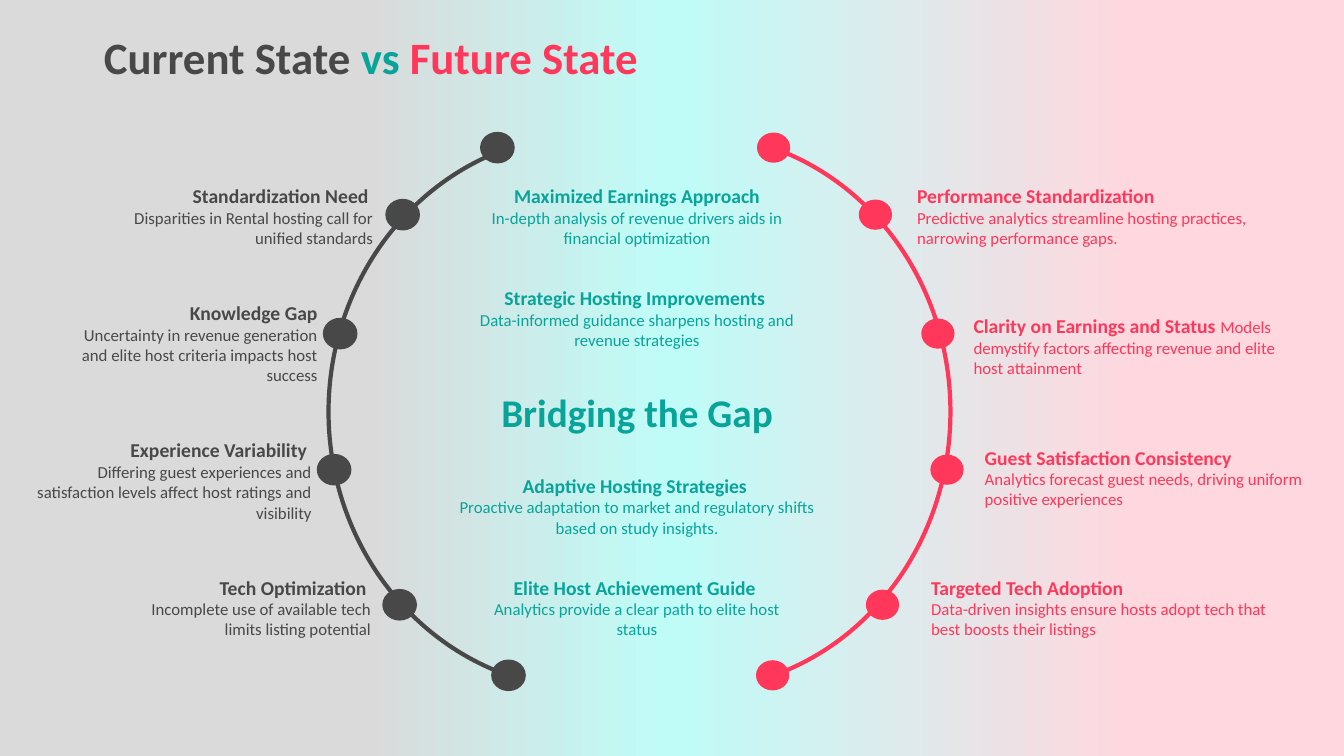
from copy import deepcopy
from pptx import Presentation
from pptx.dml.color import RGBColor
from pptx.enum.shapes import MSO_SHAPE
from pptx.enum.text import MSO_ANCHOR, MSO_AUTO_SIZE, PP_ALIGN
from pptx.oxml.ns import qn
from pptx.util import Inches, Pt

GRAY, TEAL, PINK = "484848", "08A499", "FF385B"
LEFT, MID, RIGHT = PP_ALIGN.LEFT, PP_ALIGN.CENTER, PP_ALIGN.RIGHT


def paint(code):
    return RGBColor.from_string(code)


def write(par, text, size=12, color=GRAY, bold=False, font="Calibri", align=LEFT):
    par.alignment = align
    run = par.add_run()
    run.text = text
    run.font.name, run.font.size, run.font.bold = font, Pt(size), bold
    run.font.color.rgb = paint(color)


class Board:
    """One slide on a grid of 160 columns by 90 rows."""

    def __init__(self, deck):
        self.slide = deck.slides.add_slide(deck.slide_layouts[5])
        self.cell = deck.slide_width / 160

    def place(self, *grid):
        return [round(n * self.cell) for n in grid]

    def ground(self, stops):
        fill = self.slide.background.fill
        fill.gradient()
        fill.gradient_angle = 0
        track = next(self.slide.element.iter(qn("a:gsLst")))
        while len(track) < len(stops):
            track.append(deepcopy(track[0]))
        for stop, (share, color) in zip(fill.gradient_stops, stops):
            stop.position = share
            stop.color.rgb = paint(color)

    def frame(self, box):
        frame = box.text_frame
        frame.word_wrap = True
        frame.vertical_anchor = MSO_ANCHOR.TOP
        frame.auto_size = MSO_AUTO_SIZE.SHAPE_TO_FIT_TEXT
        return frame

    def title(self, parts, *grid):
        box = self.slide.shapes.title
        box.left, box.top, box.width, box.height = self.place(*grid)
        par = self.frame(box).paragraphs[0]
        for text, color in parts:
            write(par, text, size=32, color=color, bold=True, align=MID)

    def box(self, *grid):
        return self.frame(self.slide.shapes.add_textbox(*self.place(*grid)))

    def note(self, head, body, x, y, wide, color, align, lines=2, inline=False):
        frame = self.box(x, y, wide, 4.08 + 2.4 * lines)
        par = frame.paragraphs[0]
        write(par, head, size=14, color=color, bold=True, align=align)
        if not inline:
            par = frame.add_paragraph()
        write(par, body, color=color, align=align)

    def arc(self, color, *grid, flip=False):
        arc = self.slide.shapes.add_shape(MSO_SHAPE.ARC, *self.place(*grid))
        arc.adjustments[0], arc.adjustments[1] = 171.685, 44.963
        arc.shadow.inherit = False
        arc.fill.background()
        arc.line.color.rgb, arc.line.width = paint(color), Pt(3)
        if flip:
            arc.element.spPr.find(qn("a:xfrm")).set("flipH", "1")

    def dot(self, color, x, y, edge):
        dot = self.slide.shapes.add_shape(MSO_SHAPE.OVAL, *self.place(x, y, 3.96, 3.6))
        dot.shadow.inherit = False
        dot.fill.solid()
        dot.fill.fore_color.rgb = paint(color)
        if edge:
            dot.line.color.rgb, dot.line.width = paint(color), Pt(1)
        else:
            dot.line.fill.background()


def main():
    deck = Presentation()
    deck.slide_width, deck.slide_height = Inches(13.333), Inches(7.5)
    board = Board(deck)

    # Background and title
    board.ground([(0.27, "DADADA"), (0.5, "BFFCF8"), (0.85, "FFD7DE")])
    board.title([("Current State ", GRAY), ("vs", TEAL), (" Future State", PINK)],
                1.8, 2.88, 84.72, 7.68)

    # Arcs and their dots
    board.arc(GRAY, 39.12, 15.96, 62.4, 66.12, flip=True)
    board.arc(PINK, 51.72, 15.96, 61.44, 66.12)
    rows = [15.78, 23.76, 37.92, 54.12, 70.2, 78.6]
    rings = [(GRAY, True, [57.24, 45.96, 38.52, 37.8, 45.6, 58.56]),
             (PINK, False, [90.12, 102.24, 109.68, 110.76, 103.08, 90])]
    for color, edge, spots in rings:
        for x, y in zip(spots, rows):
            board.dot(color, x, y, edge)

    # Current state
    now = [
        ("Standardization Need ", "Disparities in Rental hosting call for unified standards",
         12.12, 21.36, 33.48, 2),
        ("Knowledge Gap", "Uncertainty in revenue generation and elite host criteria "
         "impacts host success", 6.72, 35.28, 32.28, 3),
        ("Experience Variability ", "Differing guest experiences and satisfaction levels "
         "affect host ratings and visibility", 1.8, 51.6, 36.48, 3),
        ("Tech Optimization ", "Incomplete use of available tech limits listing potential",
         15.72, 67.92, 29.64, 2),
    ]
    for head, body, x, y, wide, lines in now:
        board.note(head, body, x, y, wide, GRAY, RIGHT, lines)

    # Bridge, centred on one axis
    axis = 75.84
    bridge = [
        ("Maximized Earnings Approach", "In-depth analysis of revenue drivers aids in "
         "financial optimization", 21.36, 41.76),
        ("Strategic Hosting Improvements ", "Data-informed guidance sharpens hosting and "
         "revenue strategies", 33.48, 42.96),
        ("Adaptive Hosting Strategies ", "Proactive adaptation to market and regulatory "
         "shifts based on study insights.", 55.8, 45.72),
        ("Elite Host Achievement Guide ", "Analytics provide a clear path to elite host status",
         67.92, 39.12),
    ]
    for head, body, y, wide in bridge:
        board.note(head, body, axis - wide / 2, y, wide, TEAL, MID)
    hub = board.box(axis - 21, 45.6, 42, 6.84)
    write(hub.paragraphs[0], "Bridging the Gap", size=28, color=TEAL, bold=True, align=MID)

    # Future state
    future = [
        ("Performance Standardization", "Predictive analytics streamline hosting practices, "
         "narrowing performance gaps.", 108, 21.36, 45, False),
        ("Clarity on Earnings and Status ", "Models demystify factors affecting revenue and "
         "elite host attainment", 114.72, 36.84, 39.24, True),
        ("Guest Satisfaction Consistency", "Analytics forecast guest needs, driving uniform "
         "positive experiences", 116.04, 52.44, 42.48, False),
        ("Targeted Tech Adoption", "Data-driven insights ensure hosts adopt tech that best "
         "boosts their listings", 109.68, 67.92, 43.56, False),
    ]
    for head, body, x, y, wide, inline in future:
        board.note(head, body, x, y, wide, PINK, LEFT, inline=inline)

    deck.save("out.pptx")


if __name__ == "__main__":
    main()
